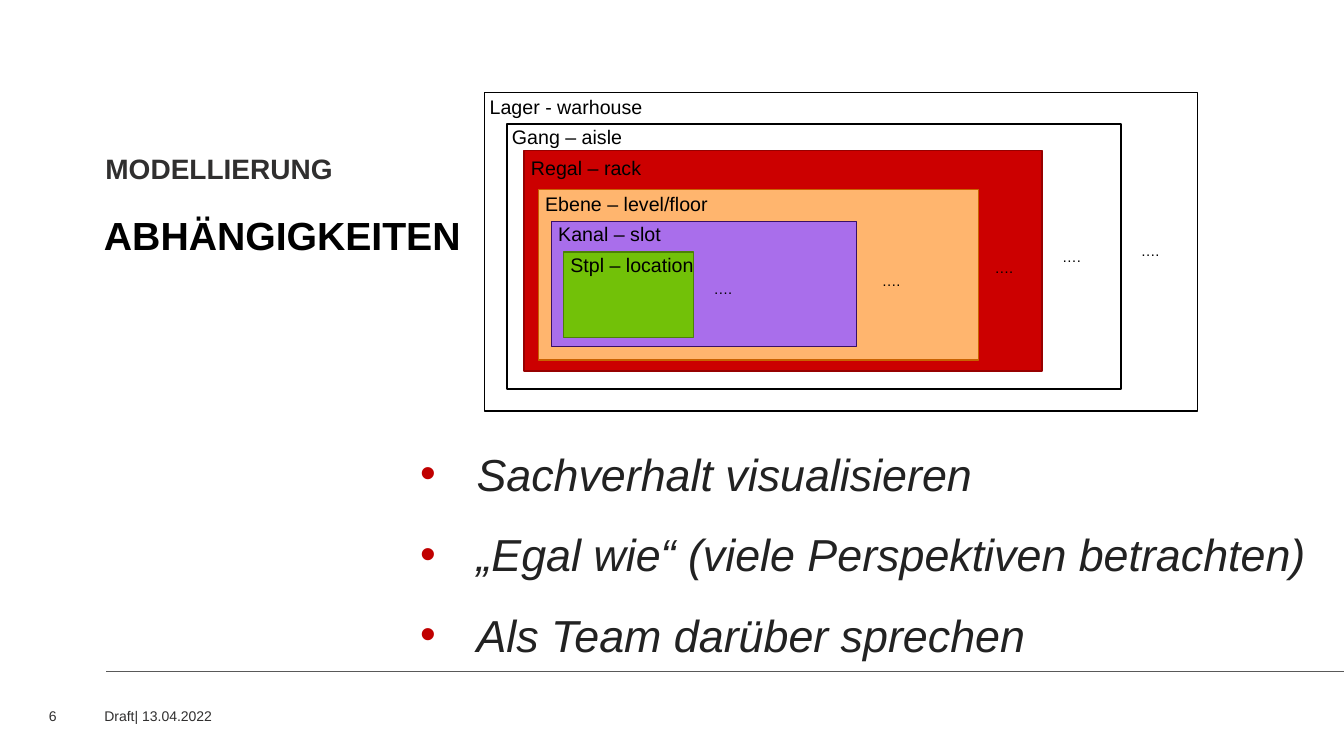
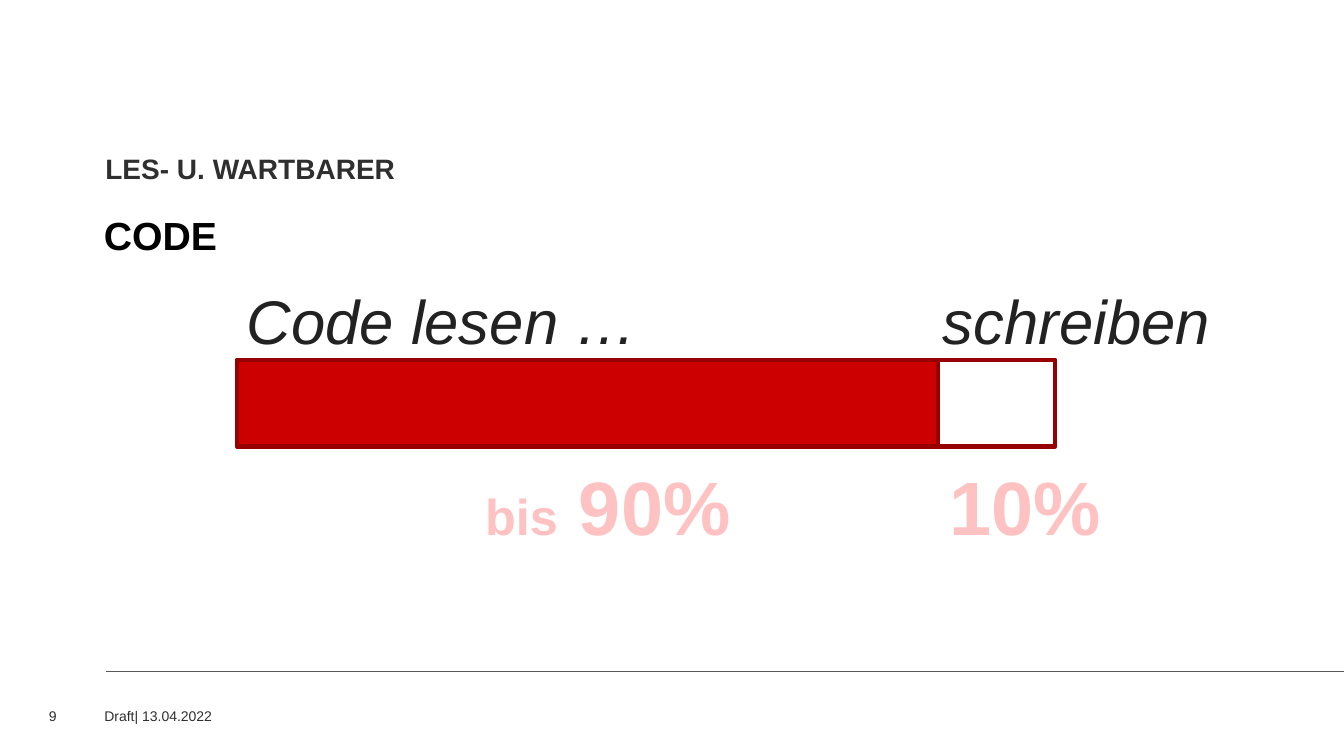
from lxml.etree import SubElement
from pptx import Presentation
from pptx.dml.color import RGBColor
from pptx.enum.shapes import MSO_CONNECTOR, MSO_SHAPE
from pptx.enum.text import MSO_ANCHOR, PP_ALIGN
from pptx.oxml.ns import qn
from pptx.util import Pt

FONT = "Arial"
BLACK = "000000"
WHITE = "FFFFFF"
RED = "CC0000"
DARK_RED = "970000"
BULLET_RED = "C00000"
PINK = "FFC2C2"
GREY = "302F2F"
RULE_GREY = "595959"
TEXT_GREY = "222222"

LEVELS = [
    ("Lager - warhouse", (346.3, 66.2, 509, 227.5), WHITE, BLACK, (342.7, 64), (807.8, 169.2)),
    ("Gang – aisle", (362.2, 88.6, 438.5, 189.4), WHITE, BLACK, (358.6, 85.7), (751.7, 173.5)),
    ("Regal – rack", (374.4, 107.3, 370, 157.7), RED, DARK_RED, (372.2, 108), (703.4, 181.4)),
    ("Ebene – level/floor", (384.5, 135.4, 314.6, 121.7), "FFB56E", "C96200", (382.3, 133.2), (622.8, 190.8)),
    ("Kanal – slot", (393.8, 158.4, 218.2, 89.3), "A96EEB", "380F67", (391.7, 154.8), (502.6, 196.6)),
    ("Stpl – location", (402.5, 180, 92.9, 61.2), "72C108", "4C8006", (400.3, 177), None),
]


def rgb(value):
    """Turn a hex string into a colour."""
    return RGBColor.from_string(value)


def points(*values):
    """Turn numbers into lengths in points."""
    return [Pt(value) for value in values]


def add_bullet(paragraph, indent):
    """Give a paragraph a hanging red bullet."""
    properties = paragraph._p.get_or_add_pPr()
    properties.set("marL", str(Pt(indent)))
    properties.set("indent", str(-Pt(indent)))
    colour = SubElement(properties, qn("a:buClr"))
    SubElement(colour, qn("a:srgbClr"), val=BULLET_RED)
    SubElement(properties, qn("a:buFont"), typeface=FONT)
    SubElement(properties, qn("a:buChar"), char="•")


def add_text(slide, box, *paragraphs, size=14, colour=BLACK, bold=False, italic=False,
             align=PP_ALIGN.LEFT, anchor=MSO_ANCHOR.TOP, spacing=None, indent=None, wrap=True):
    """Add a text box; a paragraph is a string or a list of (text, size) runs."""
    frame = slide.shapes.add_textbox(*points(*box)).text_frame
    frame.word_wrap = wrap
    frame.vertical_anchor = anchor
    for index, content in enumerate(paragraphs):
        paragraph = frame.add_paragraph() if index else frame.paragraphs[0]
        if indent:
            add_bullet(paragraph, indent)
        paragraph.alignment = align
        if spacing:
            paragraph.line_spacing = spacing
        runs = [(content, size)] if isinstance(content, str) else content
        for run_text, run_size in runs:
            run = paragraph.add_run()
            run.text = run_text
            run.font.name = FONT
            run.font.size = Pt(run_size)
            run.font.bold = bold
            run.font.italic = italic
            run.font.color.rgb = rgb(colour)


def add_rectangle(slide, box, fill, line, width=1):
    """Add a filled and outlined rectangle."""
    shape = slide.shapes.add_shape(MSO_SHAPE.RECTANGLE, *points(*box))
    shape.shadow.inherit = False
    shape.fill.solid()
    shape.fill.fore_color.rgb = rgb(fill)
    shape.line.color.rgb = rgb(line)
    shape.line.width = Pt(width)


def add_rule(slide):
    """Add the line above the footer."""
    rule = slide.shapes.add_connector(MSO_CONNECTOR.STRAIGHT, *points(960, 479.5, 75.6, 479.5))
    rule.line.color.rgb = rgb(RULE_GREY)
    rule.line.width = Pt(1)
    SubElement(rule._element.spPr, qn("a:effectLst"))


def add_base_slide(presentation, kicker, title, number):
    """Add a slide with heading, rule and footer."""
    slide = presentation.slides.add_slide(presentation.slide_layouts[6])
    add_rule(slide)
    add_text(slide, (67.2, 151.2, 304.5, 99.4), title, size=28, bold=True, spacing=0.9)
    add_text(slide, (68.2, 107.3, 302.4, 37.4), kicker, size=20, colour=GREY, bold=True, spacing=0.9)
    footer = {"size": 10, "colour": GREY, "anchor": MSO_ANCHOR.MIDDLE}
    add_text(slide, (67.5, 496.8, 686, 28.8), "Draft| 13.04.2022", **footer)
    add_text(slide, (15.8, 496.8, 31.7, 28.8), number, align=PP_ALIGN.RIGHT, **footer)
    return slide


def add_dependencies(presentation):
    """Build the slide with the nested storage levels."""
    slide = add_base_slide(presentation, "MODELLIERUNG", "ABHÄNGIGKEITEN", "6")
    for label, box, fill, line, label_position, dots_position in LEVELS:
        add_rectangle(slide, box, fill, line)
        add_text(slide, (*label_position, 150, 24.5), label)
        if dots_position:
            add_text(slide, (*dots_position, 28, 20), "….", size=10.5, wrap=False)
    add_text(slide, (293, 296, 661, 181.4), "Sachverhalt visualisieren",
             "„Egal wie“ (viele Perspektiven betrachten)", "Als Team darüber sprechen",
             size=32, colour=TEXT_GREY, italic=True, spacing=1.5, indent=40.3)


def add_code_shares(presentation):
    """Build the slide comparing reading and writing code."""
    slide = add_base_slide(presentation, "LES- U. WARTBARER", "CODE", "9")
    caption = {"size": 44, "colour": TEXT_GREY, "italic": True, "spacing": 1.5}
    add_text(slide, (169.2, 172, 480, 87), "Code lesen …", **caption)
    add_text(slide, (666.4, 172, 280, 87), "schreiben", **caption)
    share = {"size": 54, "colour": PINK, "bold": True, "align": PP_ALIGN.CENTER, "wrap": False}
    add_text(slide, (338.4, 324.7, 191.5, 72.7), [("bis", 36), (" 90%", 54)], **share)
    add_text(slide, (670.3, 324.7, 123.8, 72.7), "10%", **share)
    for left, width, fill in ((169.2, 501.1, RED), (670.3, 83.5, WHITE)):
        add_rectangle(slide, (left, 257, width, 62), fill, DARK_RED, width=3)


def main():
    """Build and save the presentation."""
    presentation = Presentation()
    presentation.slide_width, presentation.slide_height = points(960, 540)
    add_dependencies(presentation)
    add_code_shares(presentation)
    presentation.save("out.pptx")


if __name__ == "__main__":
    main()
